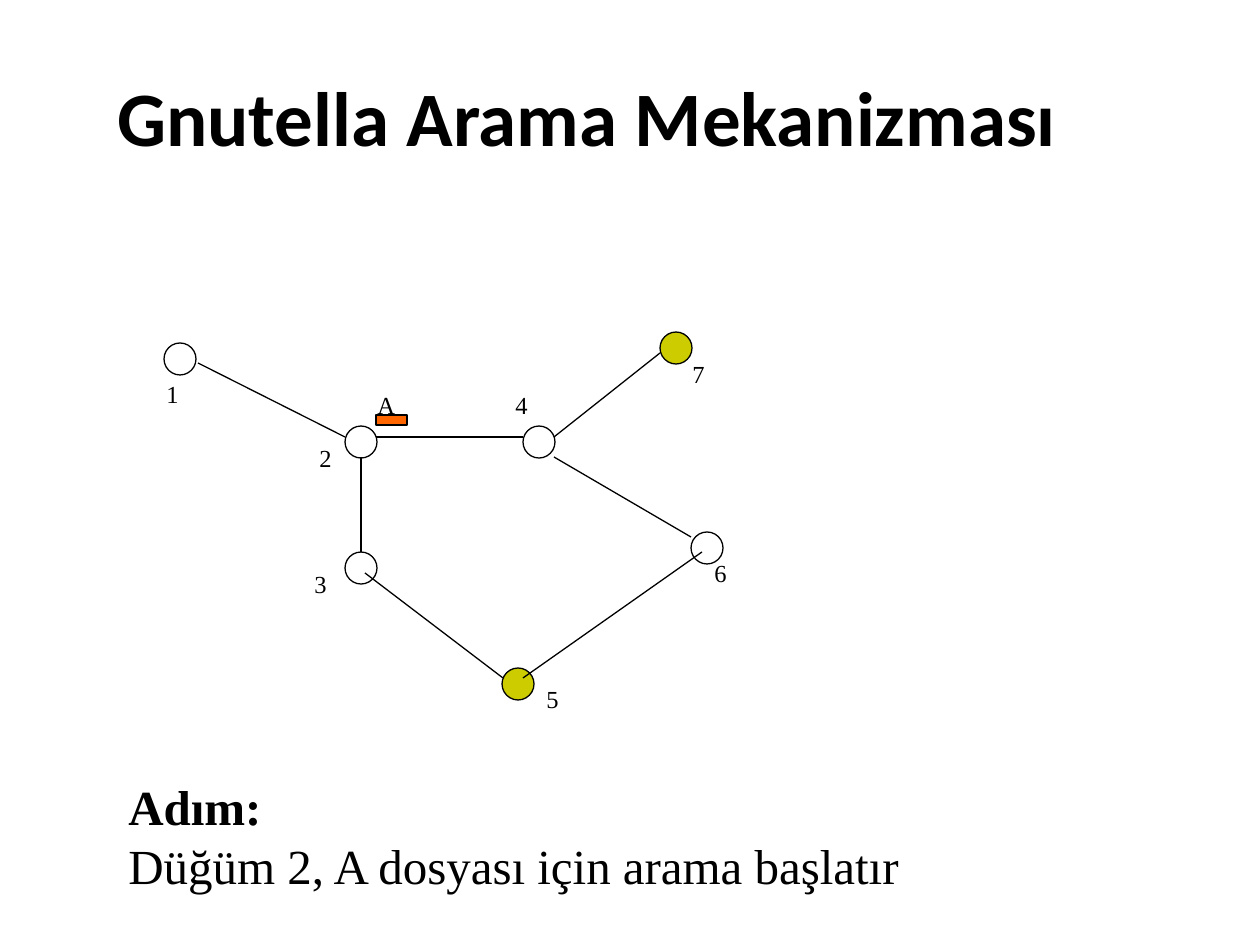
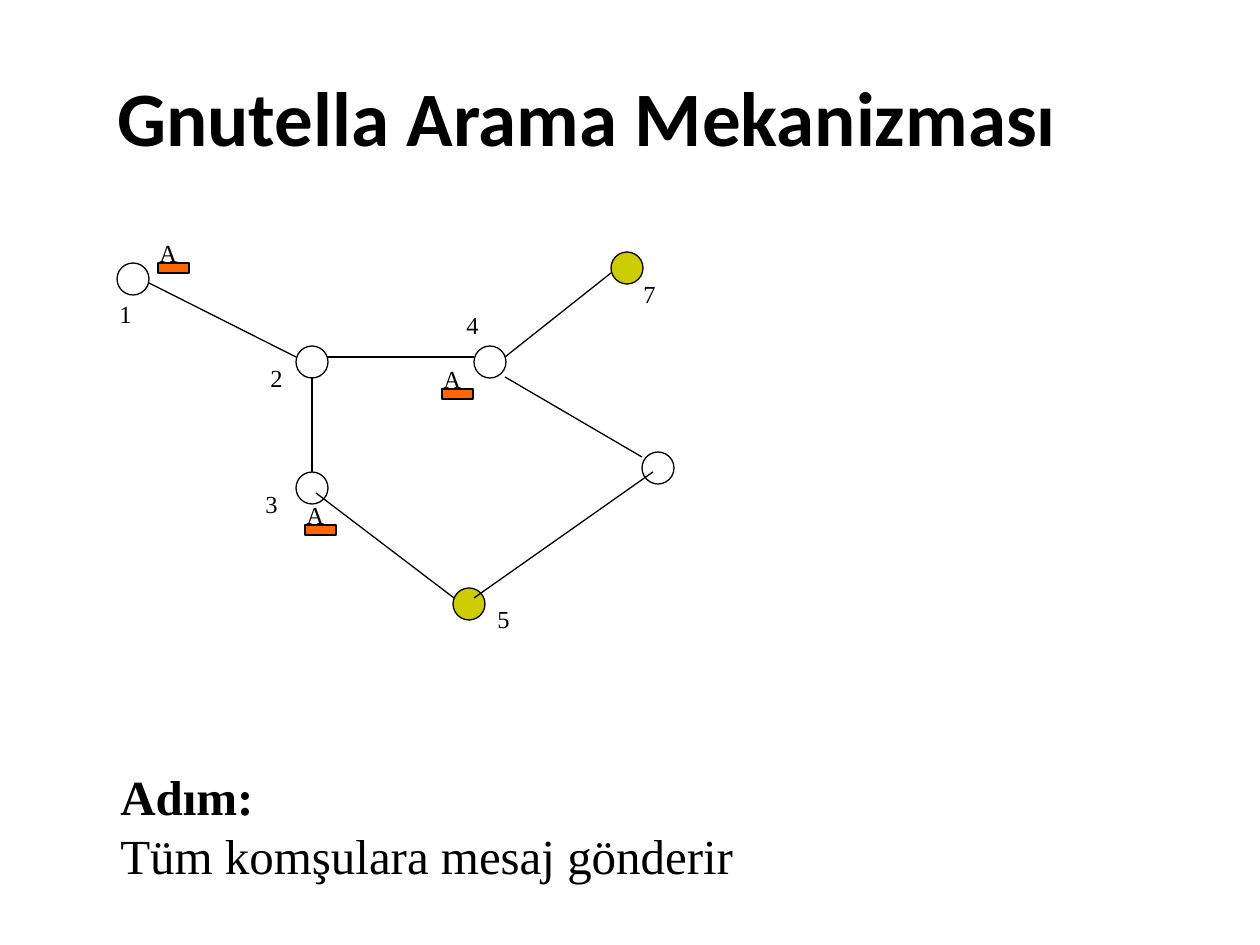
"""Build two slides that show how a query spreads through a peer network."""
import dataclasses

import pptx
import pptx.dml.color
import pptx.enum.shapes
import pptx.enum.text
import pptx.util
from pptx.oxml import parse_xml

EMU_PER_PIXEL = 914400 / 126


@dataclasses.dataclass(frozen=True)
class Theme:
    """Colours, fonts and sizes shared by the slides."""
    ink: str = "000000"
    peer: str = "FFFFFF"
    holder: str = "CCCC00"
    query: str = "FF6600"
    title_font: str = "Calibri"
    body_font: str = "Times New Roman"
    title_size: int = 44
    step_size: int = 28
    label_size: int = 14
    line_width: float = 0.75


THEME = Theme()
TITLE = "Gnutella Arama Mekanizması"
TITLE_BOX = (105, 37, 1113, 158)
NODE_SIZE = 32
LABEL_SIZE = (38, 43)
QUERY_SIZE = (43, 43)
NODES = {
    "1": (0, 11), "2": (181, 94), "3": (181, 220), "4": (359, 94),
    "5": (338, 336), "6": (527, 200), "7": (496, 0),
}
LABELS = {
    "1": (-10, 41), "2": (143, 105), "3": (138, 231), "4": (339, 52),
    "5": (370, 346), "6": (538, 220), "7": (516, 21),
}
HOLDERS = ("5", "7")
LINKS = (
    (34, 31, 181, 105), (197, 125, 197, 220), (212, 105, 359, 105),
    (390, 105, 496, 21), (390, 125, 527, 205), (201, 241, 339, 346),
    (538, 220, 359, 346),
)


def scale(*pixels):
    """Turn pixels into EMU."""
    return [pptx.util.Emu(round(pixel * EMU_PER_PIXEL)) for pixel in pixels]


def colour(value):
    """Return the colour of a hexadecimal string."""
    return pptx.dml.color.RGBColor.from_string(value)


def add_text(shapes, box, *lines, size, font=THEME.body_font, bold_lines=0,
             middle=False, wrap=False):
    """Add a text box with one paragraph a line, the first ones bold."""
    frame = shapes.add_textbox(*scale(*box)).text_frame
    frame.word_wrap = wrap
    if middle:
        frame.vertical_anchor = pptx.enum.text.MSO_ANCHOR.MIDDLE
    for index, line in enumerate(lines):
        paragraph = frame.add_paragraph() if index else frame.paragraphs[0]
        run = paragraph.add_run()
        run.text = line
        run.font.name = font
        run.font.size = pptx.util.Pt(size)
        run.font.bold = index < bold_lines
        run.font.color.rgb = colour(THEME.ink)


def draw_outline(line):
    """Give a line the ink colour and the shared width."""
    line.color.rgb = colour(THEME.ink)
    line.width = pptx.util.Pt(THEME.line_width)


def add_preset(shapes, kind, box, fill):
    """Add a filled and outlined preset shape."""
    shape = shapes.add_shape(kind, *scale(*box))
    shape.shadow.inherit = False
    shape.fill.solid()
    shape.fill.fore_color.rgb = colour(fill)
    draw_outline(shape.line)


def add_link(shapes, ends):
    """Add a straight line between two points."""
    connector = shapes.add_connector(
        pptx.enum.shapes.MSO_CONNECTOR.STRAIGHT, *scale(*ends))
    draw_outline(connector.line)
    connector._element.spPr.append(parse_xml(
        '<a:effectLst xmlns:a='
        '"http://schemas.openxmlformats.org/drawingml/2006/main"/>'))


def add_network(slide, left, top, unlabelled=(), shifts=None):
    """Draw the nodes, links and labels from the given corner."""
    shifts = shifts or {}
    for name, (x, y) in NODES.items():
        add_preset(slide.shapes, pptx.enum.shapes.MSO_SHAPE.OVAL,
                   (left + x + shifts.get(name, 0), top + y, NODE_SIZE, NODE_SIZE),
                   THEME.holder if name in HOLDERS else THEME.peer)
    for x1, y1, x2, y2 in LINKS:
        add_link(slide.shapes, (left + x1, top + y1, left + x2, top + y2))
    for name, (x, y) in LABELS.items():
        if name not in unlabelled:
            add_text(slide.shapes,
                     (left + x + shifts.get(name, 0), top + y, *LABEL_SIZE),
                     name, size=THEME.label_size)


def add_query(slide, left, top):
    """Draw a query for file A as a group of bar and letter."""
    group = slide.shapes.add_group_shape()
    add_preset(group.shapes, pptx.enum.shapes.MSO_SHAPE.RECTANGLE,
               (left + 11, top + 31, 31, 10), THEME.query)
    add_text(group.shapes, (left, top, *QUERY_SIZE), "A", size=THEME.label_size)


def add_step_slide(presentation, step, step_box, corner, queries, **network):
    """Add a slide with title, network, queries and step text."""
    slide = presentation.slides.add_slide(presentation.slide_layouts[6])
    add_text(slide.shapes, TITLE_BOX, TITLE, size=THEME.title_size,
             font=THEME.title_font, bold_lines=1, middle=True, wrap=True)
    add_network(slide, *corner, **network)
    for query in queries:
        add_query(slide, *query)
    add_text(slide.shapes, step_box, "Adım:", step,
             size=THEME.step_size, bold_lines=1)


def main():
    """Build and save the presentation."""
    presentation = pptx.Presentation()
    presentation.slide_width, presentation.slide_height = scale(1260, 945)
    add_step_slide(presentation, "Düğüm 2, A dosyası için arama başlatır",
                   (116, 770, 804, 131), (164, 332), [(365, 384)])
    add_step_slide(presentation, "Tüm komşulara mesaj gönderir",
                   (108, 760, 645, 131), (115, 252),
                   [(147, 232), (294, 494), (431, 358)],
                   unlabelled=("6",), shifts={"1": 2})
    presentation.save("out.pptx")


main()
